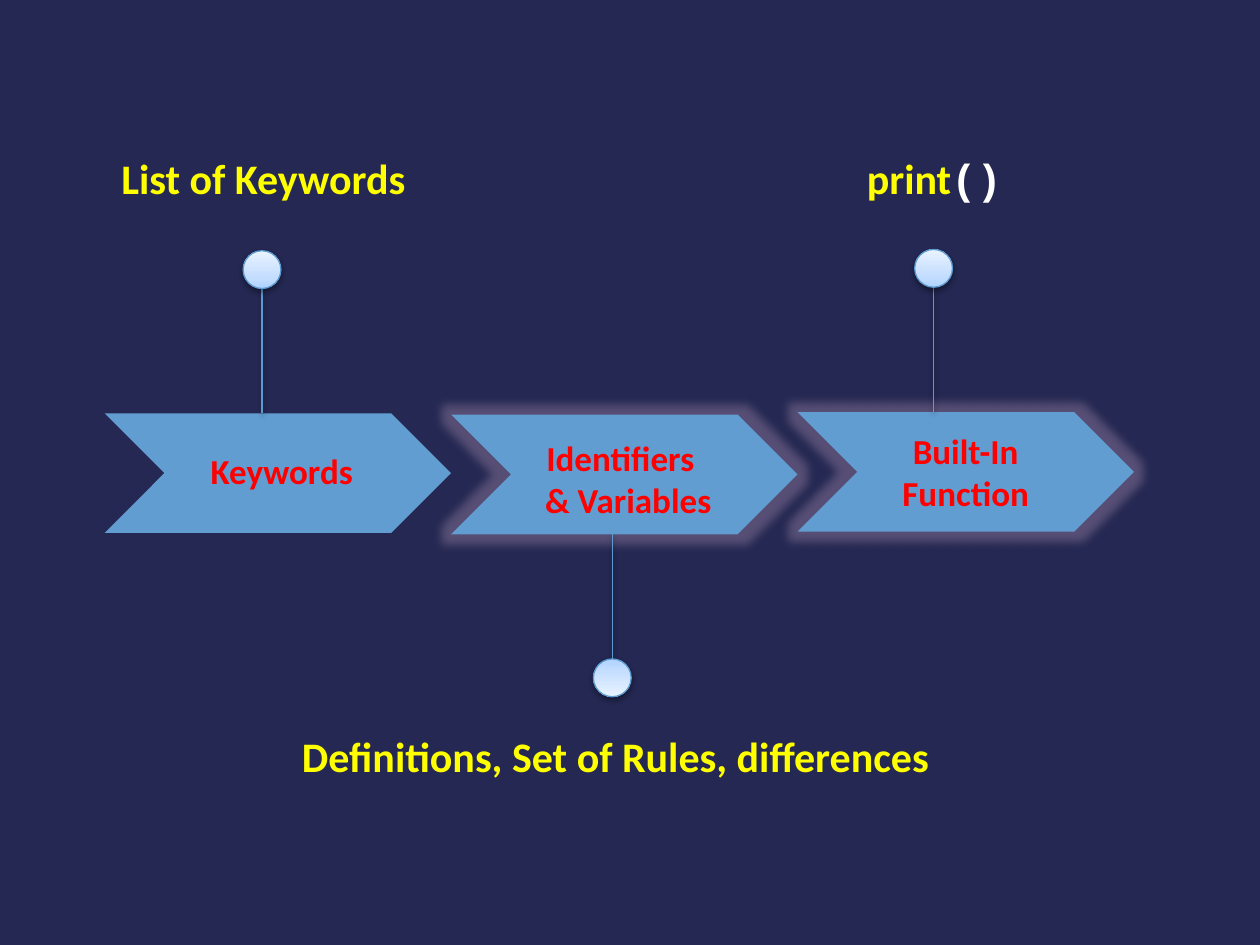
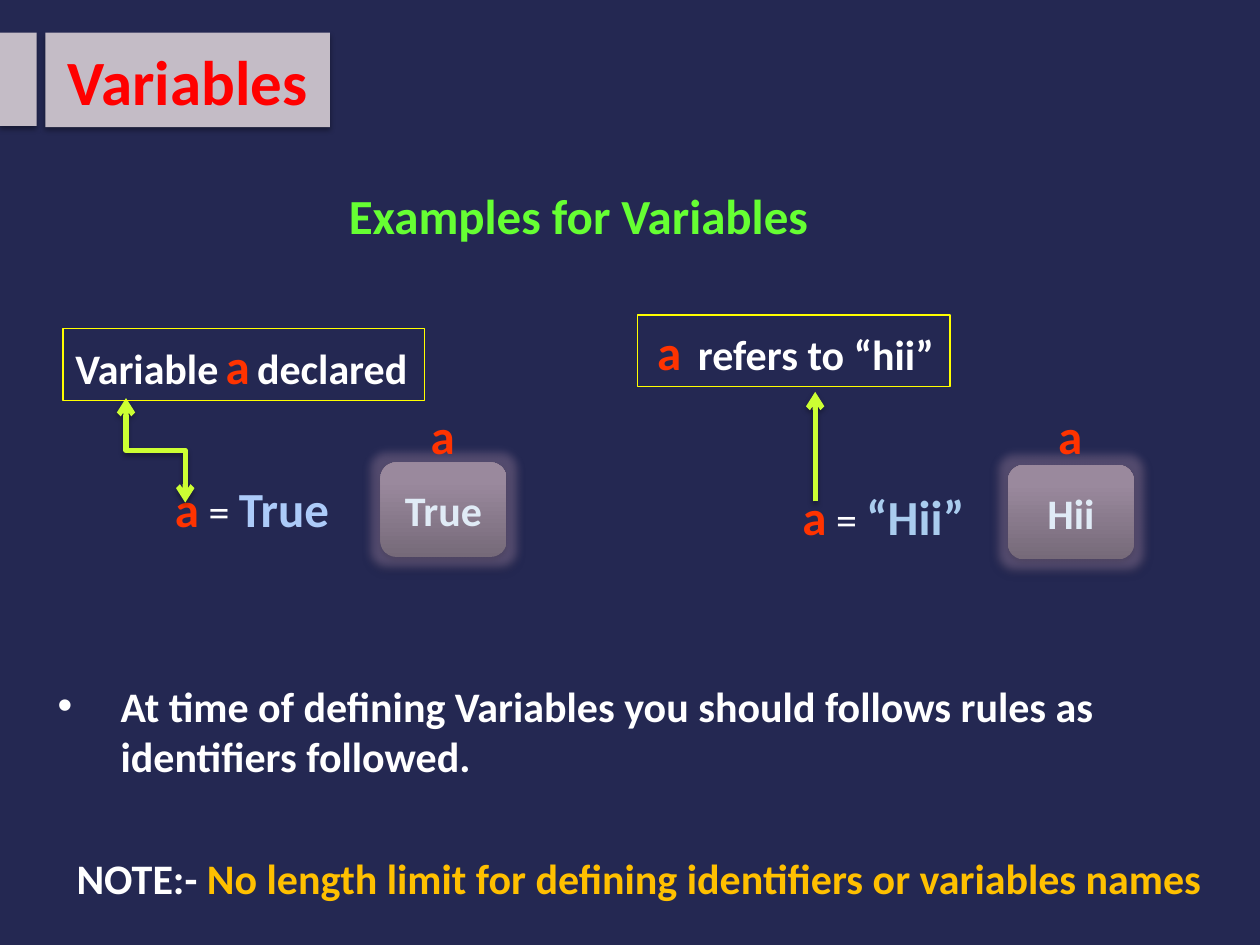
from lxml import etree
from pptx import Presentation
from pptx.dml.color import RGBColor
from pptx.enum.shapes import MSO_CONNECTOR, MSO_SHAPE
from pptx.enum.text import MSO_ANCHOR, PP_ALIGN
from pptx.oxml.ns import qn
from pptx.util import Inches, Pt

STRAIGHT, ELBOW = MSO_CONNECTOR.STRAIGHT, MSO_CONNECTOR.ELBOW
RECT, ROUNDED = MSO_SHAPE.RECTANGLE, MSO_SHAPE.ROUNDED_RECTANGLE
CHEVRON, DOT = MSO_SHAPE.CHEVRON, MSO_SHAPE.FLOWCHART_CONNECTOR
LEFT, CENTER = PP_ALIGN.LEFT, PP_ALIGN.CENTER
TOP, MIDDLE = MSO_ANCHOR.TOP, MSO_ANCHOR.MIDDLE

FONT = "Calibri"
COLORS = {
    "bg": "242852", "chevron": "629DD1", "stem": "5D9ACF", "band": "C4BCC6",
    "red": "FF0000", "yellow": "FFFF00", "white": "FFFFFF", "green": "66FF33",
    "name": "FF3300", "value": "ACCBF9", "string": "A9CCEE", "stored": "E0EBF6",
    "arrow": "CCFF33", "note": "FFC000", "glow": "A388A9", "shadow": "000000",
}
DOT_STOPS = [(0, "B0D3FF"), (35, "C7DFFF"), (100, "E9F3FF")]
MEMORY_STOPS = [(0, "766A79"), (80, "9A899D"), (100, "9B899E")]
STEM_SHADOW = (38, 1.6)
SHADOW = (35, 1.8)
NAME = ("a", {"size": 28, "color": "name"})


def rgb(name):
    return RGBColor.from_string(COLORS[name])


def add_sub(parent, tag, **attrs):
    return etree.SubElement(parent, qn(tag), {k: str(v) for k, v in attrs.items()})


def add_color(parent, value, alpha=None):
    clr = add_sub(parent, "a:srgbClr", val=value)
    if alpha:
        add_sub(clr, "a:alpha", val=alpha * 1000)


def set_effects(s, shadow=None, glow=False):
    sp_pr = s._element.spPr
    effects = sp_pr.find(qn("a:effectLst"))
    if effects is None:
        effects = add_sub(sp_pr, "a:effectLst")
    if glow:
        add_color(add_sub(effects, "a:glow", rad=Inches(0.15)), COLORS["glow"], 40)
    if shadow:
        alpha, dist = shadow
        outer = add_sub(effects, "a:outerShdw", blurRad=Pt(3.1), dist=Pt(dist),
                        dir=90 * 60000, rotWithShape=0)
        add_color(outer, COLORS["shadow"], alpha)


def set_gradient(s, stops, angle):
    s.fill.solid()
    solid = s._element.spPr.find(qn("a:solidFill"))
    grad = etree.Element(qn("a:gradFill"), rotWithShape="1")
    stop_list = add_sub(grad, "a:gsLst")
    for pos, value in stops:
        add_color(add_sub(stop_list, "a:gs", pos=pos * 1000), value)
    add_sub(grad, "a:lin", ang=angle * 60000, scaled=0)
    solid.getparent().replace(solid, grad)


def put_text(s, *paragraphs, size=24, color="white", bold=True, align=LEFT,
             anchor=TOP, wrap=True, before=0, insets=(0.1, 0.05, 0.1, 0.05)):
    tf = s.text_frame
    tf.word_wrap = wrap
    tf.vertical_anchor = anchor
    tf.margin_left, tf.margin_top, tf.margin_right, tf.margin_bottom = map(Inches, insets)
    for i, runs in enumerate(paragraphs):
        p = tf.add_paragraph() if i else tf.paragraphs[0]
        p.alignment = align
        p.space_before = Pt(before)
        for text, own in [(runs, {})] if isinstance(runs, str) else runs:
            r = p.add_run()
            r.text = text
            r.font.name = own.get("font", FONT)
            r.font.size = Pt(own.get("size", size))
            r.font.bold = own.get("bold", bold)
            r.font.color.rgb = rgb(own.get("color", color))
    return s


def add_text(slide, box, *paragraphs, **fmt):
    return put_text(slide.shapes.add_textbox(*map(Inches, box)), *paragraphs, **fmt)


def add_box(slide, kind, box, fill=None, line=None, shadow=None, glow=False):
    s = slide.shapes.add_shape(kind, *map(Inches, box))
    s.shadow.inherit = False
    if fill:
        s.fill.solid()
        s.fill.fore_color.rgb = rgb(fill)
    else:
        s.fill.background()
    if line:
        s.line.color.rgb = rgb(line)
        s.line.width = Pt(0.75)
    else:
        s.line.fill.background()
    set_effects(s, shadow, glow)
    return s


def add_line(slide, start, end, color, width, shadow, kind=STRAIGHT, heads=()):
    c = slide.shapes.add_connector(kind, *map(Inches, (*start, *end)))
    c.line.color.rgb = rgb(color)
    c.line.width = Pt(width)
    for head in heads:
        add_sub(c.line._get_or_add_ln(), head, type="arrow")
    set_effects(c, shadow)
    return c


def add_upright_elbow(slide, start, end, **fmt):
    (x1, y1), (x2, y2) = start, end
    cx, cy = (x1 + x2) / 2, (y1 + y2) / 2
    run, rise = (y1 - y2) / 2, (x1 - x2) / 2
    c = add_line(slide, (cx - run, cy + rise), (cx + run, cy - rise), kind=ELBOW, **fmt)
    c._element.spPr.find(qn("a:xfrm")).set("rot", str(270 * 60000))


def add_pin(slide, x, y, up):
    length, size = 1, 0.3
    tip = y - length if up else y + length
    add_line(slide, (x, y), (x, tip), "stem", 0.75, STEM_SHADOW)
    top = tip - size + 0.01 if up else tip - 0.01
    dot = add_box(slide, DOT, (x - size / 2, top, size, size),
                  line="stem", shadow=STEM_SHADOW)
    set_gradient(dot, DOT_STOPS, 270 if up else 90)


def add_step(slide, box, lines, pin_x, up, glow, top_inset):
    x, y, w, h = box
    s = add_box(slide, CHEVRON, box, fill="chevron", glow=glow)
    put_text(s, *lines, size=20, color="red", align=CENTER, anchor=MIDDLE,
             insets=(0.1, top_inset, 0.1, 0.05))
    add_pin(slide, x + pin_x, y if up else y + h, up)


def add_title(slide, text):
    add_box(slide, RECT, (0, 0.26, 0.29, 0.74), fill="band", shadow=SHADOW)
    s = add_box(slide, RECT, (0.36, 0.26, 2.26, 0.75), fill="band", shadow=SHADOW)
    put_text(s, text, size=36, color="red", align=CENTER, anchor=MIDDLE)


def add_memory(slide, box, value, name_gap):
    x, y, w, h = box
    s = add_box(slide, ROUNDED, box, shadow=SHADOW, glow=True)
    set_gradient(s, MEMORY_STOPS, 270)
    put_text(s, value, color="stored", align=CENTER, anchor=MIDDLE)
    add_text(slide, (x + w / 2 - 0.2, y - name_gap, 0.4, 0.57), [NAME], wrap=False)


def add_assignment(slide, box, value, color):
    add_text(slide, box,
             [NAME, (" = ", {"bold": False}), (value, {"size": 28, "color": color})],
             anchor=MIDDLE, wrap=False)


def add_caption(slide, box, runs):
    put_text(add_box(slide, RECT, box, line="yellow"), runs, wrap=False)


def add_slide(prs):
    slide = prs.slides.add_slide(prs.slide_layouts[6])
    slide.background.fill.solid()
    slide.background.fill.fore_color.rgb = rgb("bg")
    return slide


def build_overview(prs):
    slide = add_slide(prs)
    steps = [
        ((0.83, 3.28, 2.75, 0.95), [" Keywords"], 1.25, True, False, 0),
        ((3.58, 3.29, 2.75, 0.95), ["Identifiers ", " & Variables"], 1.28, False, True, 0.12),
        ((6.33, 3.27, 2.67, 0.95), ["Built-In Function"], 1.08, True, True, 0.05),
    ]
    for step in steps:
        add_step(slide, *step)
    labels = [
        ((0.85, 1.16, 2.48, 0.5), "List of Keywords"),
        ((6.77, 1.16, 1.29, 0.5),
         [("print", {}), ("()", {"font": "Courier New", "color": "white"})]),
        ((2.26, 5.75, 5.25, 0.5), "Definitions, Set of Rules, differences"),
    ]
    for box, text in labels:
        add_text(slide, box, text, color="yellow", align=CENTER, wrap=False)


def build_variables(prs):
    slide = add_slide(prs)
    add_title(slide, "Variables")
    add_text(slide, (2.42, 1.42, 4.34, 0.75), "Examples for Variables",
             size=28, color="green", align=CENTER, before=5.6)

    add_assignment(slide, (1.29, 3.75, 1.44, 0.57), "True", "value")
    add_memory(slide, (3.02, 3.67, 1, 0.75), "True", 0.5)
    add_upright_elbow(slide, (1.47, 3.99), (1, 3.16), color="arrow", width=3,
                      shadow=SHADOW, heads=("a:headEnd", "a:tailEnd"))
    small = (" ", {"size": 18})
    add_caption(slide, (0.5, 2.61, 2.87, 0.57),
                [("Variable", {}), small, NAME, small, ("declared", {})])

    add_assignment(slide, (6.27, 3.81, 1.5, 0.57), "“Hii”", "string")
    add_memory(slide, (8, 3.69, 1, 0.75), "Hii", 0.52)
    add_caption(slide, (5.06, 2.5, 2.48, 0.57),
                [small, NAME, small, (" refers to “hii”", {})])

    rule = add_text(slide, (0.36, 5.35, 9.14, 1.07),
                    "At time of defining Variables you should follows rules as "
                    "identifiers followed.", before=4.8)
    p_pr = rule.text_frame.paragraphs[0]._p.get_or_add_pPr()
    p_pr.set("marL", str(Inches(0.5)))
    p_pr.set("indent", str(-Inches(0.5)))
    add_sub(p_pr, "a:buFont", typeface="Arial")
    add_sub(p_pr, "a:buChar", char="•")
    add_text(slide, (0.51, 6.43, 9.14, 1.07),
             [("NOTE:- ", {}),
              ("No length limit for defining identifiers or variables names",
               {"color": "note"})],
             anchor=MIDDLE, before=4.8)
    add_line(slide, (6.47, 3.98), (6.47, 3.11), "arrow", 3, SHADOW, heads=("a:tailEnd",))


def main():
    prs = Presentation()
    prs.slide_width, prs.slide_height = Inches(10), Inches(7.5)
    build_overview(prs)
    build_variables(prs)
    prs.save("out.pptx")


if __name__ == "__main__":
    main()
